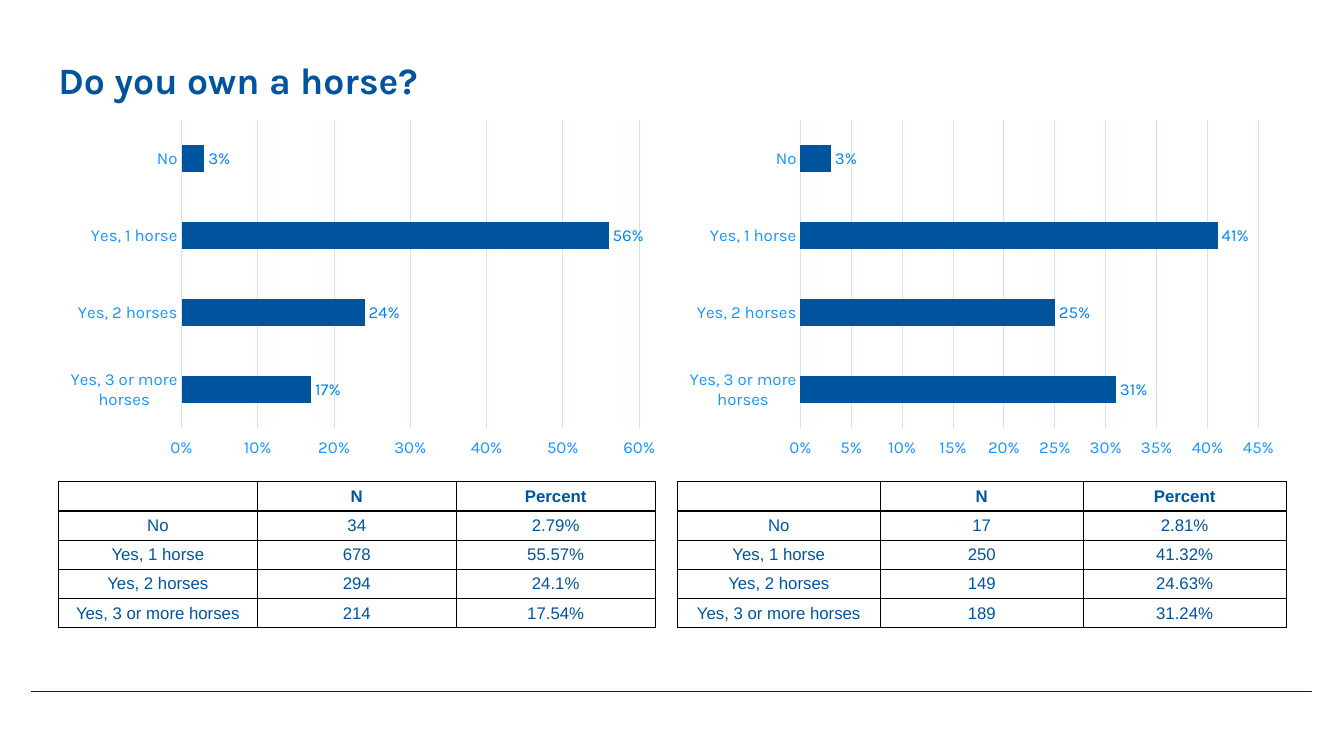
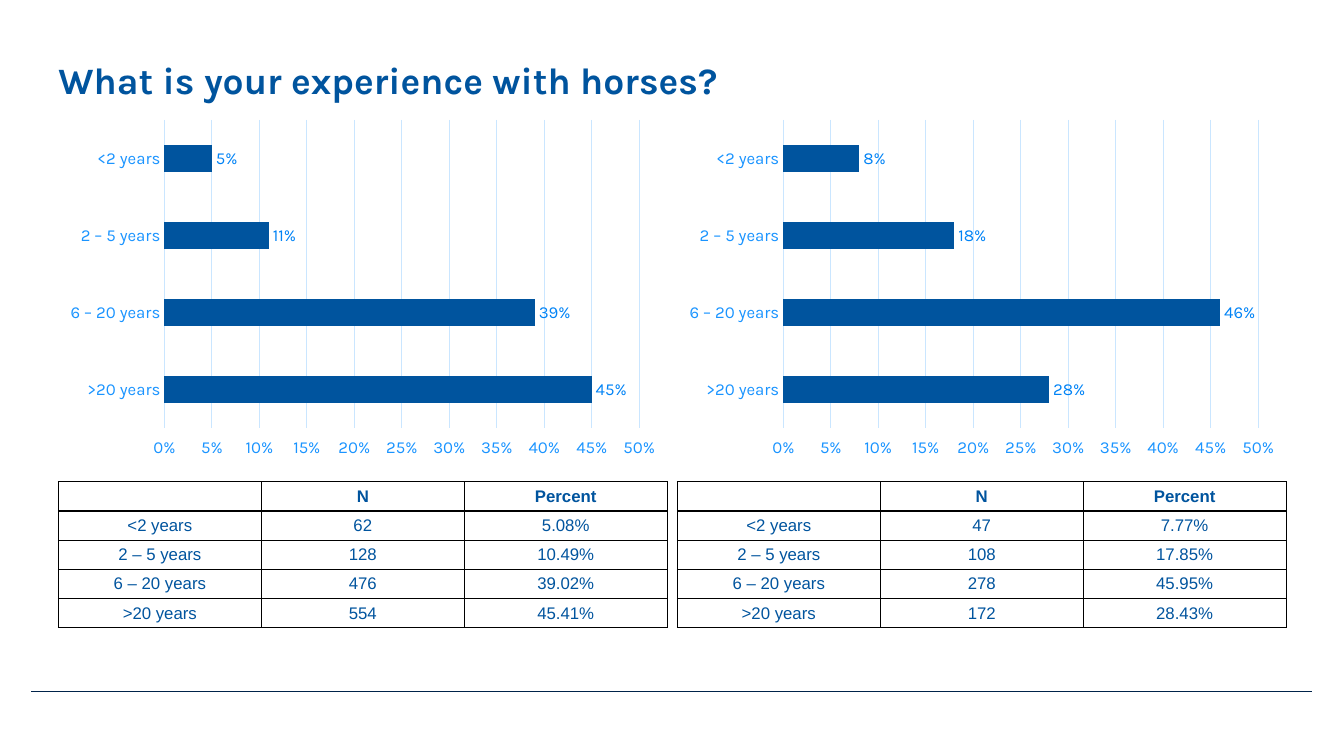
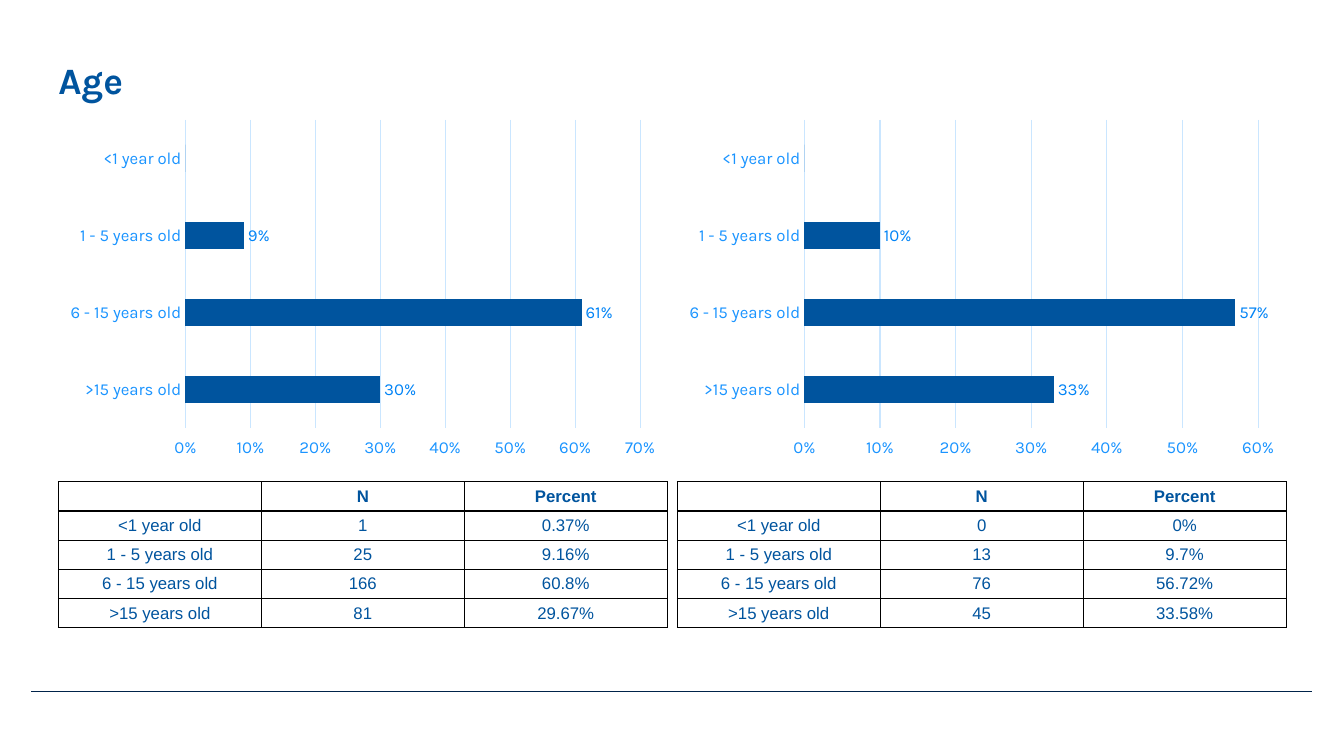
from dataclasses import dataclass

from lxml import etree
from pptx import Presentation
from pptx import util as u
from pptx.chart.data import CategoryChartData
from pptx.dml.color import RGBColor
from pptx.enum import chart as ch
from pptx.enum import shapes, text
from pptx.oxml.ns import qn


@dataclass(frozen=True)
class Theme:
    navy: str = "00549E"
    label: str = "0083F6"
    axis: str = "1A94FF"
    grid: str = "CAE6FF"
    footer: str = "00234A"
    border: str = "000000"
    head_font: str = "Karla"
    table_font: str = "Arial"
    title_size: float = 26.6
    body_size: float = 12


@dataclass(frozen=True)
class Panel:
    percents: tuple[int, ...]  # bar lengths
    rows: tuple[tuple[str, str], ...]  # N and Percent
    table_width: float = 6.04


@dataclass(frozen=True)
class Question:
    title: str
    answers: tuple[str, ...]
    panels: tuple[Panel, Panel]


T = Theme()
LEFTS = (0.58, 6.72)
CHART_TOP, CHART_WIDTH, CHART_HEIGHT = 1.12, 6.04, 3.49
TABLE_TOP, ROW_HEIGHT, CELL_MARGIN = 4.78, 0.29, 0.04

QUESTIONS = (
    Question(
        "Do you own a horse?",
        ("No", "Yes, 1 horse", "Yes, 2 horses", "Yes, 3 or more horses"),
        (
            Panel((3, 56, 24, 17),
                  (("34", "2.79%"), ("678", "55.57%"), ("294", "24.1%"), ("214", "17.54%")), 5.92),
            Panel((3, 41, 25, 31),
                  (("17", "2.81%"), ("250", "41.32%"), ("149", "24.63%"), ("189", "31.24%"))),
        ),
    ),
    Question(
        "What is your experience with horses?",
        ("<2 years", "2 – 5 years", "6 – 20 years", ">20 years"),
        (
            Panel((5, 11, 39, 45),
                  (("62", "5.08%"), ("128", "10.49%"), ("476", "39.02%"), ("554", "45.41%"))),
            Panel((8, 18, 46, 28),
                  (("47", "7.77%"), ("108", "17.85%"), ("278", "45.95%"), ("172", "28.43%"))),
        ),
    ),
    Question(
        "Age",
        ("<1 year old", "1 - 5 years old", "6 - 15 years old", ">15 years old"),
        (
            Panel((0, 9, 61, 30),
                  (("1", "0.37%"), ("25", "9.16%"), ("166", "60.8%"), ("81", "29.67%"))),
            Panel((0, 10, 57, 33),
                  (("0", "0%"), ("13", "9.7%"), ("76", "56.72%"), ("45", "33.58%"))),
        ),
    ),
)


# Text
def style_font(font, *, name: str, size: float, color: str, bold: bool = False) -> None:
    font.name, font.size, font.bold = name, u.Pt(size), bold
    font.color.rgb = RGBColor.from_string(color)


def write(tf, content: str, *, align, **fmt) -> None:
    p = tf.paragraphs[0]
    p.alignment = align
    if content:
        r = p.add_run()
        r.text = content
        style_font(r.font, **fmt)
    else:  # keeps an empty cell from growing its row
        etree.SubElement(p._p, qn("a:endParaRPr"), sz=str(int(fmt["size"] * 100)))


# Shared frame: title and footer rule
def add_frame(s, title: str) -> None:
    sp = s.shapes.title
    sp.left, sp.top = u.Inches(LEFTS[0]), u.Inches(0.56)
    sp.width, sp.height = u.Inches(9.61), u.Inches(0.45)
    tf = sp.text_frame
    tf.margin_left = tf.margin_right = tf.margin_top = tf.margin_bottom = 0
    tf.vertical_anchor = text.MSO_ANCHOR.BOTTOM
    tf.word_wrap = True
    tf.auto_size = text.MSO_AUTO_SIZE.SHAPE_TO_FIT_TEXT
    write(tf, title, align=text.PP_ALIGN.LEFT, name=T.head_font,
          size=T.title_size, color=T.navy, bold=True)

    rule = s.shapes.add_connector(shapes.MSO_CONNECTOR.STRAIGHT, u.Inches(0.31),
                                  u.Inches(6.86), u.Inches(13.02), u.Inches(6.86))
    rule.line.color.rgb = RGBColor.from_string(T.footer)
    rule.line.width = u.Pt(0.5)
    etree.SubElement(rule._element.spPr, qn("a:effectLst"))


# Bar chart
def style_line(line, color: str) -> None:
    line.color.rgb = RGBColor.from_string(color)
    line.width = u.Pt(0.75)


def add_bars(s, left: float, answers: tuple[str, ...], percents: tuple[int, ...]) -> None:
    data = CategoryChartData(number_format="0%")
    data.categories = answers
    data.add_series("Series 1", [v / 100 for v in percents])
    chart = s.shapes.add_chart(
        ch.XL_CHART_TYPE.BAR_CLUSTERED, u.Inches(left), u.Inches(CHART_TOP),
        u.Inches(CHART_WIDTH), u.Inches(CHART_HEIGHT), data).chart
    chart.has_legend = chart.has_title = False
    style_font(chart.font, name=T.head_font, size=10, color=T.navy)

    plot = chart.plots[0]
    plot.gap_width = 182
    plot.vary_by_categories = False
    fill = plot.series[0].format.fill
    fill.solid()
    fill.fore_color.rgb = RGBColor.from_string(T.navy)

    plot.has_data_labels = True
    labels = plot.data_labels
    labels.show_value = True
    labels.number_format, labels.number_format_is_linked = "0%;;", False  # no label on zero
    labels.position = ch.XL_LABEL_POSITION.OUTSIDE_END
    style_font(labels.font, name=T.head_font, size=T.body_size, color=T.label)

    cat, val = chart.category_axis, chart.value_axis
    for axis in (cat, val):
        axis.major_tick_mark = axis.minor_tick_mark = ch.XL_TICK_MARK.NONE
        style_font(axis.tick_labels.font, name=T.head_font, size=T.body_size, color=T.axis)
    cat.reverse_order = True
    cat.has_major_gridlines = False
    style_line(cat.format.line, T.grid)

    peak = max(percents)
    step = 5 if peak < 50 else 10
    val.minimum_scale, val.major_unit = 0, step / 100
    val.maximum_scale = (peak // step + 1) * step / 100
    val.tick_label_position = ch.XL_TICK_LABEL_POSITION.HIGH  # below the reversed categories
    val.tick_labels.number_format = "0%"
    val.tick_labels.number_format_is_linked = False
    val.format.line.fill.background()
    val.has_major_gridlines = True
    style_line(val.major_gridlines.format.line, T.grid)


# Table
def add_borders(cell) -> None:
    tc_pr = cell._tc.get_or_add_tcPr()
    for i, side in enumerate(("lnL", "lnR", "lnT", "lnB")):
        ln = etree.Element(qn(f"a:{side}"), w=str(u.Pt(1)))
        fill = etree.SubElement(ln, qn("a:solidFill"))
        etree.SubElement(fill, qn("a:srgbClr"), val=T.border)
        tc_pr.insert(i, ln)


def add_counts(s, left: float, answers: tuple[str, ...], panel: Panel) -> None:
    rows = [("", "N", "Percent")]
    rows += [(answer, *counts) for answer, counts in zip(answers, panel.rows)]
    table = s.shapes.add_table(
        len(rows), 3, u.Inches(left), u.Inches(TABLE_TOP),
        u.Inches(panel.table_width), u.Inches(ROW_HEIGHT * len(rows))).table
    table.first_row = table.horz_banding = False
    for i, row in enumerate(rows):
        for j, content in enumerate(row):
            cell = table.cell(i, j)
            cell.margin_top = cell.margin_bottom = u.Inches(CELL_MARGIN)
            cell.vertical_anchor = text.MSO_ANCHOR.MIDDLE
            cell.fill.background()
            add_borders(cell)
            write(cell.text_frame, content, align=text.PP_ALIGN.CENTER,
                  name=T.table_font, size=T.body_size, color=T.navy, bold=i == 0)


def main() -> None:
    prs = Presentation()
    prs.slide_width, prs.slide_height = u.Inches(40 / 3), u.Inches(7.5)
    title_only = prs.slide_layouts[5]
    for question in QUESTIONS:
        s = prs.slides.add_slide(title_only)
        add_frame(s, question.title)
        for left, panel in zip(LEFTS, question.panels):
            add_bars(s, left, question.answers, panel.percents)
            add_counts(s, left, question.answers, panel)
    prs.save("out.pptx")


if __name__ == "__main__":
    main()
